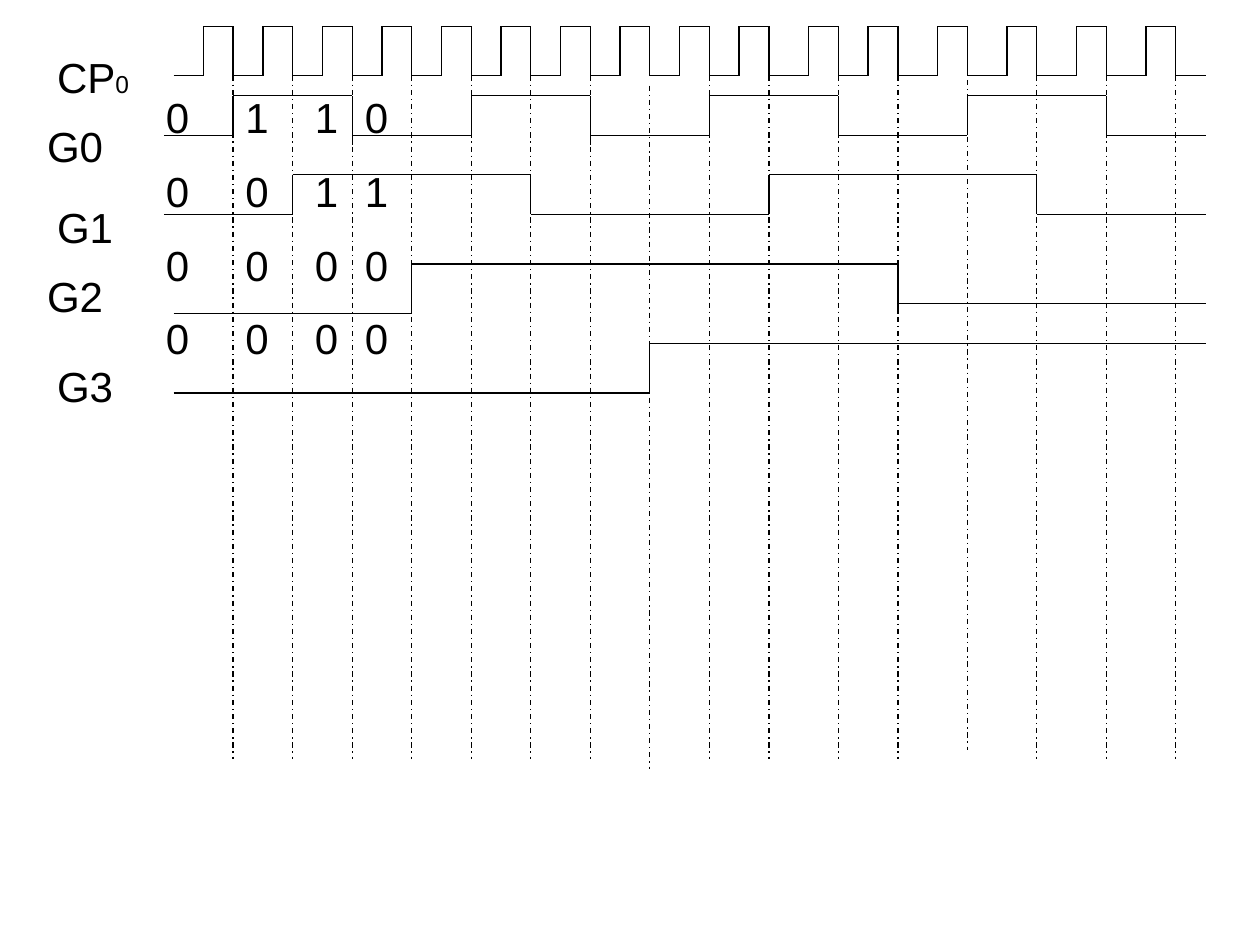
from pptx import Presentation
from pptx.dml.color import RGBColor
from pptx.enum.dml import MSO_LINE_DASH_STYLE as Dash
from pptx.enum.shapes import MSO_CONNECTOR_TYPE as Connector
from pptx.enum.text import MSO_AUTO_SIZE as AutoSize
from pptx.oxml.ns import qn
from pptx.util import Pt
from lxml.etree import SubElement

COLORS = {"ink": "000000"}
FONT = "Arial"
UNIT = 5.67
FIRST_FALL = 133.2
PERIODS = [6] * 9 + [7, 6] + [7] * 4
PULSE = 3 * UNIT
RIGHT = 689
CLOCK = {"start": 99.2, "high": 15, "low": 43.2}
GUIDE_BOTTOM = 434
GUIDE_SHIFTS = {7: UNIT, 12: -UNIT}

SIGNALS = [
    {"start": 93.7, "high": 54.6, "low": 77.3, "toggles": range(0, 16, 2),
     "feet": {2: 83, 6: 83}},
    {"start": 93.7, "high": 99.8, "low": 122.5, "toggles": range(1, 16, 4)},
    {"start": 99.2, "high": 150.8, "low": 179.2, "toggles": [3, 11],
     "last_low": 173.5},
    {"start": 99.2, "high": 196.3, "low": 224.6, "toggles": [7]},
]

LABELS = [
    ([("CP", 24), ("0", 14)], 25.5, 26, 62.4),
    ([("G0", 24)], 19.8, 65.5, 62.4),
    ([("G1", 24)], 25.5, 111.6, 51),
    ([("G2", 24)], 19.8, 151.2, 51),
    ([("G3", 24)], 25.5, 202.3, 62.4),
]
DIGITS = [("0000", 87.8, 22.5), ("1000", 133.2, 22.5),
          ("1100", 172.8, 22.5), ("0100", 201.4, 28)]


def add_line(shapes, x1, y1, x2, y2, dash=None):
    line = shapes.add_connector(Connector.STRAIGHT, Pt(x1), Pt(y1), Pt(x2), Pt(y2))
    line.line.color.rgb = RGBColor.from_string(COLORS["ink"])
    line.line.width = Pt(0.75)
    if dash is not None:
        line.line.dash_style = dash
    SubElement(line._element.spPr, qn("a:effectLst"))


def add_wave(shapes, start, high, low, edges, last_low=None, feet=None):
    x, level = start, low
    for index, edge in edges:
        add_line(shapes, x, level, edge, level)
        foot = (feet or {}).get(index, low)
        add_line(shapes, edge, high, edge, foot)
        x, level = edge, high if level != high else low
    if last_low is not None:
        level = last_low
    add_line(shapes, x, level, RIGHT, level)


def add_text(page, paragraphs, left, top, width, height):
    box = page.shapes.add_textbox(Pt(left), Pt(top), Pt(width), Pt(height))
    frame = box.text_frame
    frame.word_wrap = True
    frame.auto_size = AutoSize.SHAPE_TO_FIT_TEXT
    for number, spans in enumerate(paragraphs):
        para = frame.add_paragraph() if number else frame.paragraphs[0]
        if number:
            para.space_before = Pt(13.3)
        for text, size in spans:
            span = para.add_run()
            span.text = text
            span.font.name = FONT
            span.font.size = Pt(size)
            span.font.color.rgb = RGBColor.from_string(COLORS["ink"])


def main():
    deck = Presentation()
    deck.slide_width, deck.slide_height = Pt(720), Pt(540)
    page = deck.slides.add_slide(deck.slide_layouts[6])

    falls = [FIRST_FALL + sum(PERIODS[:count]) * UNIT
             for count in range(len(PERIODS) + 1)]
    clock_edges = [x for fall in falls for x in (fall - PULSE, fall)]
    clock = page.shapes.add_group_shape()
    add_wave(clock.shapes, edges=list(enumerate(clock_edges)), **CLOCK)

    for index, fall in enumerate(falls):
        shift = GUIDE_SHIFTS.get(index, 0)
        add_line(page.shapes, fall, CLOCK["low"] + shift,
                 fall, GUIDE_BOTTOM + shift, Dash.DASH_DOT)

    for signal in SIGNALS:
        edges = [(index, falls[index]) for index in signal["toggles"]]
        add_wave(page.shapes, signal["start"], signal["high"], signal["low"], edges,
                 signal.get("last_low"), signal.get("feet"))

    for spans, left, top, width in LABELS:
        add_text(page, [spans], left, top, width, 36)
    for digits, left, width in DIGITS:
        add_text(page, [[(digit, 24)] for digit in digits], left, 49, width, 165.6)

    deck.save("out.pptx")


if __name__ == "__main__":
    main()
